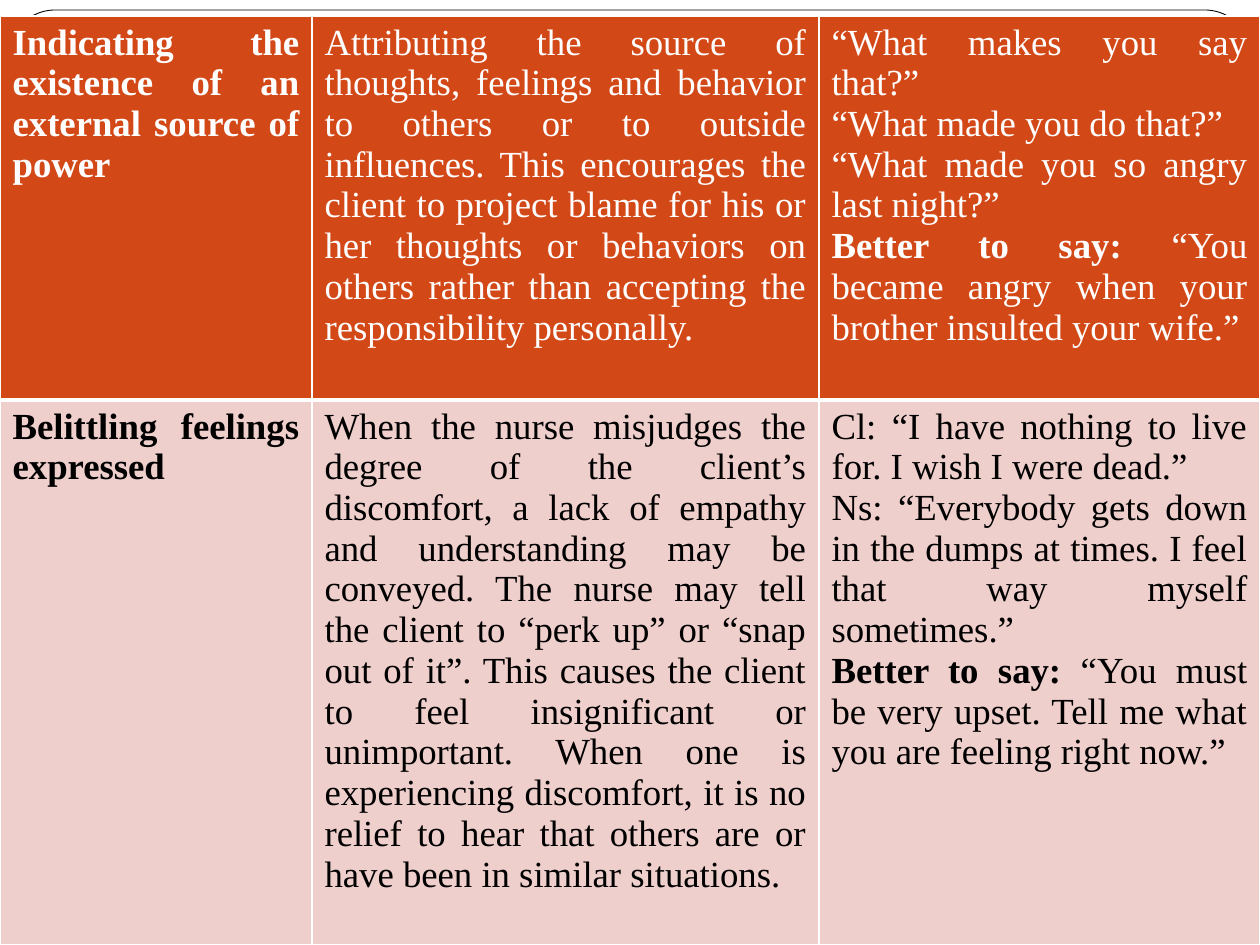
from lxml.etree import SubElement
from pptx import Presentation
from pptx.dml.color import RGBColor
from pptx.enum.shapes import MSO_SHAPE
from pptx.enum.text import PP_ALIGN
from pptx.oxml.ns import qn
from pptx.util import Pt

PX = 914400 / 126
WHITE, BLACK = "FFFFFF", "000000"
COLUMNS = (312, 507, 441)
ROWS = (384, 545)
ROW_STYLES = (("D34817", WHITE, 1, 3), ("EFCFCC", BLACK, 3, 1))
BETTER = "Better to say: "

TECHNIQUES = [
    [
        [[("Indicating the existence of an external source of power", True)]],
        [[("Attributing the source of thoughts, feelings and behavior to others or to "
           "outside influences. This encourages the client to project blame for his or "
           "her thoughts or behaviors on others rather than accepting the "
           "responsibility personally.", False)]],
        [
            [("“What makes you say that?”", False)],
            [("“What made you do that?”", False)],
            [("“What made you so angry last night?”", False)],
            [(BETTER, True),
             ("“You became angry when your brother insulted your wife.”", False)],
        ],
    ],
    [
        [[("Belittling feelings expressed", True)]],
        [[("When the nurse misjudges the degree of the client’s discomfort, a lack of "
           "empathy and understanding may be conveyed. The nurse may tell the client to "
           "“perk up” or “snap out of it”. This causes the client to feel insignificant "
           "or unimportant. When one is experiencing discomfort, it is no relief to hear "
           "that others are or have been in similar situations.", False)]],
        [
            [("Cl: “I have nothing to live for. I wish I were dead.”", False)],
            [("Ns: “Everybody gets down in the dumps at times. I feel that way myself "
              "sometimes.”", False)],
            [(BETTER, True),
             ("“You must be very upset. Tell me what you are feeling right now.”", False)],
        ],
    ],
]


def px(n):
    return round(n * PX)


def color(value):
    return RGBColor.from_string(value)


def add_frame(s, x, y, w, h):
    sp = s.shapes.add_shape(MSO_SHAPE.ROUNDED_RECTANGLE, px(x), px(y), px(w), px(h))
    sp.adjustments[0] = 0.05
    sp.shadow.inherit = False
    sp.fill.solid()
    sp.fill.fore_color.rgb = color(WHITE)
    sp.line.color.rgb = color(BLACK)
    sp.line.width = Pt(0.5)


def set_borders(cell, top, bottom):
    props = cell._tc.get_or_add_tcPr()
    for side, width in (("L", 1), ("R", 1), ("T", top), ("B", bottom)):
        ln = SubElement(props, qn(f"a:ln{side}"), w=str(Pt(width)))
        fill = SubElement(ln, qn("a:solidFill"))
        SubElement(fill, qn("a:srgbClr"), val=WHITE)


def fill_text(tf, paragraphs, text_color):
    for i, runs in enumerate(paragraphs):
        p = tf.add_paragraph() if i else tf.paragraphs[0]
        p.alignment = PP_ALIGN.JUSTIFY
        p.font.name = "Times New Roman"
        p.font.size = Pt(21)
        p.font.color.rgb = color(text_color)
        for text, bold in runs:
            r = p.add_run()
            r.text = text
            r.font.bold = bold


def add_techniques(s, x, y):
    table = s.shapes.add_table(len(ROWS), len(COLUMNS), px(x), px(y),
                               px(sum(COLUMNS)), px(sum(ROWS))).table
    for column, width in zip(table.columns, COLUMNS):
        column.width = px(width)
    for row, height, style, contents in zip(table.rows, ROWS, ROW_STYLES, TECHNIQUES):
        row.height = px(height)
        background, text_color, top, bottom = style
        for cell, paragraphs in zip(row.cells, contents):
            set_borders(cell, top, bottom)
            cell.fill.solid()
            cell.fill.fore_color.rgb = color(background)
            fill_text(cell.text_frame, paragraphs, text_color)


def main():
    prs = Presentation()
    prs.slide_width, prs.slide_height = px(1260), px(945)
    s = prs.slides.add_slide(prs.slide_layouts[6])
    add_frame(s, 9, 10, 1242, 922)
    add_techniques(s, 0, 16)
    prs.save("out.pptx")


if __name__ == "__main__":
    main()
